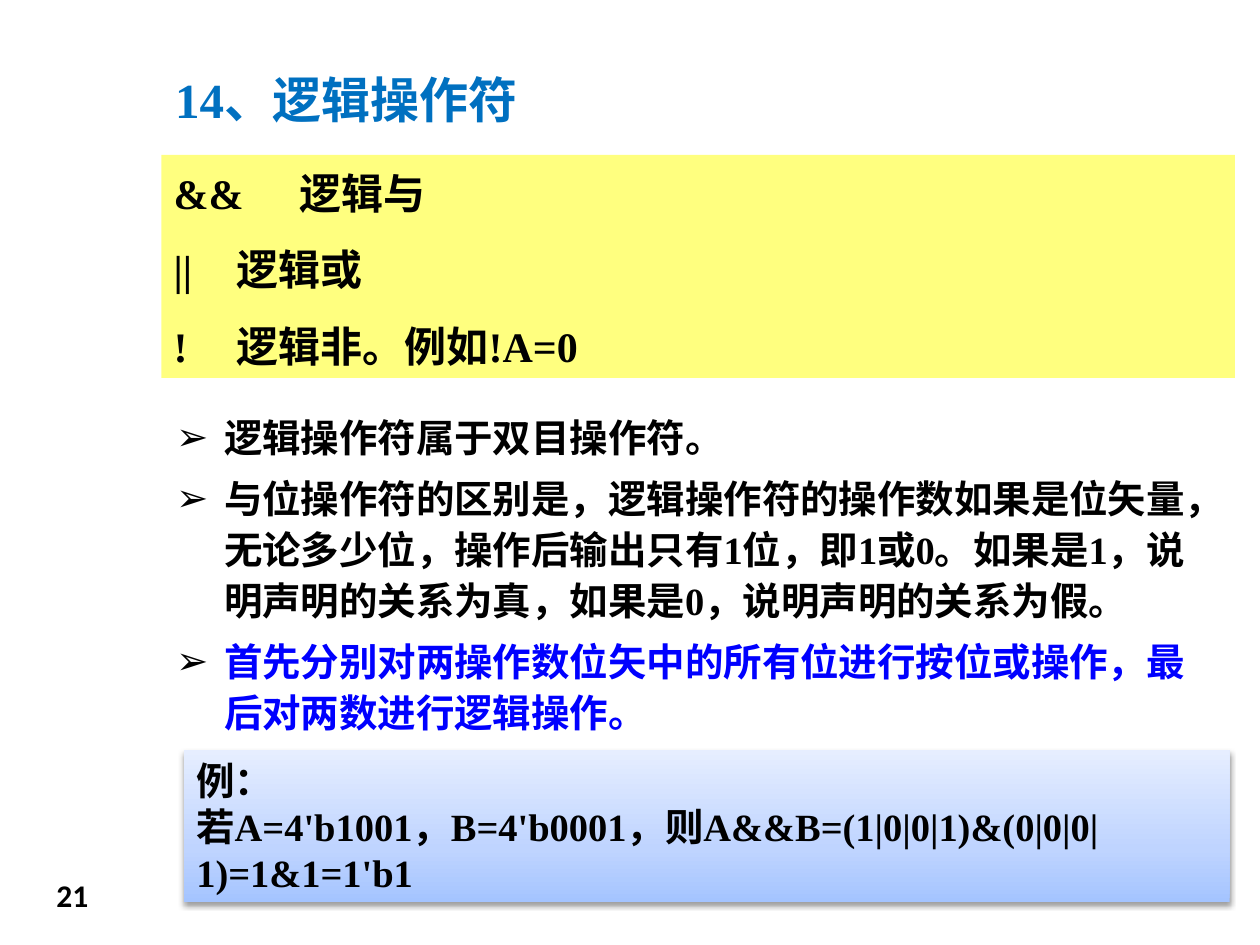
from dataclasses import dataclass

from lxml.etree import SubElement
from pptx import Presentation
from pptx.dml.color import RGBColor
from pptx.enum.shapes import MSO_SHAPE
from pptx.enum.text import MSO_ANCHOR, MSO_AUTO_SIZE, PP_ALIGN
from pptx.oxml import parse_xml
from pptx.oxml.ns import nsdecls, qn
from pptx.util import Inches, Pt


@dataclass(frozen=True)
class Theme:
    serif: str = "Times New Roman"
    sans: str = "Calibri"
    black: str = "000000"
    title_blue: str = "0070C0"
    key_blue: str = "0000FF"
    yellow: str = "FFFF00"
    gradient: tuple = ((0, "A4C4FF"), (35, "BFD4FF"), (100, "E6EEFF"))
    title_size: int = 28
    operator_size: int = 24
    body_size: int = 22
    number_size: int = 18


THEME = Theme()


def place(shape, box):
    for name, length in zip(("left", "top", "width", "height"), box):
        setattr(shape, name, Inches(length))


def add_bullet(para):
    properties = para._p.get_or_add_pPr()
    properties.set("marL", str(Inches(0.38)))
    properties.set("indent", str(-Inches(0.38)))
    colour = SubElement(properties, qn("a:buClr"))
    SubElement(colour, qn("a:srgbClr")).set("val", THEME.black)
    SubElement(properties, qn("a:buFont")).set("typeface", "Arial")
    SubElement(properties, qn("a:buChar")).set("char", "➢")


def write(shape, lines, size, font=THEME.serif, anchor=MSO_ANCHOR.TOP,
          auto_size=MSO_AUTO_SIZE.SHAPE_TO_FIT_TEXT, bullets=False, **spacing):
    """Fill a shape with (text, colour) paragraphs."""
    frame = shape.text_frame
    frame_format = {"word_wrap": True, "auto_size": auto_size, "vertical_anchor": anchor}
    for name, value in frame_format.items():
        setattr(frame, name, value)
    for index, (text, colour) in enumerate(lines):
        para = frame.paragraphs[0] if index == 0 else frame.add_paragraph()
        if bullets:
            add_bullet(para)
        for name, value in {"alignment": PP_ALIGN.LEFT, **spacing}.items():
            setattr(para, name, value)
        span = para.add_run()
        span.text = text
        for name, value in {"size": Pt(size), "name": font, "bold": True}.items():
            setattr(span.font, name, value)
        span.font.color.rgb = RGBColor.from_string(colour)


def add_panel(page, box):
    panel = page.shapes.add_shape(MSO_SHAPE.RECTANGLE, *map(Inches, box))
    panel.shadow.inherit = False
    panel.line.fill.background()
    return panel


def add_title(page, box):
    title = page.shapes.title
    place(title, box)
    write(title, [("14、逻辑操作符", THEME.title_blue)], THEME.title_size,
          anchor=MSO_ANCHOR.MIDDLE)


def add_rules(page, box):
    rules = page.shapes.add_textbox(*map(Inches, box))
    lines = [
        ("逻辑操作符属于双目操作符。", THEME.black),
        ("与位操作符的区别是，逻辑操作符的操作数如果是位矢量，无论多少位，操作后输出只有1位，"
         "即1或0。如果是1，说明声明的关系为真，如果是0，说明声明的关系为假。", THEME.black),
        ("首先分别对两操作数位矢中的所有位进行按位或操作，最后对两数进行逻辑操作。", THEME.key_blue),
    ]
    write(rules, lines, THEME.body_size, bullets=True, line_spacing=1.1, space_after=Pt(6))


def add_operators(page, box):
    panel = add_panel(page, box)
    panel.fill.solid()
    panel.fill.fore_color.rgb = RGBColor.from_string(THEME.yellow)
    colour = panel._element.spPr.find(qn("a:solidFill"))[0]
    SubElement(colour, qn("a:alpha")).set("val", "50000")
    operators = [("&&", "逻辑与"), ("||", "逻辑或"), ("!", "逻辑非。例如!A=0")]
    lines = [(f"{symbol}\t{meaning}", THEME.black) for symbol, meaning in operators]
    write(panel, lines, THEME.operator_size, anchor=MSO_ANCHOR.MIDDLE,
          line_spacing=1.1, space_after=Pt(12))


def add_example(page, box):
    panel = add_panel(page, box)
    properties = panel._element.spPr
    stops = "".join(f'<a:gs pos="{position * 1000}"><a:srgbClr val="{colour}"/></a:gs>'
                    for position, colour in THEME.gradient)
    properties.find(qn("a:prstGeom")).addnext(parse_xml(
        f'<a:gradFill {nsdecls("a")} rotWithShape="1"><a:gsLst>{stops}</a:gsLst>'
        '<a:lin ang="16200000" scaled="1"/></a:gradFill>'))
    shadow = SubElement(properties.find(qn("a:effectLst")), qn("a:outerShdw"),
                        blurRad=str(Pt(3.1)), dist=str(Pt(1.6)), dir="5400000",
                        rotWithShape="0")
    colour = SubElement(shadow, qn("a:srgbClr"), val=THEME.black)
    SubElement(colour, qn("a:alpha"), val="38000")
    lines = [("例：", THEME.black),
             ("若A=4'b1001，B=4'b0001，则A&&B=(1|0|0|1)&(0|0|0|1)=1&1=1'b1", THEME.black)]
    write(panel, lines, THEME.body_size, anchor=MSO_ANCHOR.MIDDLE)


def add_page_number(page, box):
    number = page.shapes.add_textbox(*map(Inches, box))
    write(number, [("21", THEME.black)], THEME.number_size, font=THEME.sans,
          auto_size=MSO_AUTO_SIZE.NONE)


def main():
    deck = Presentation()
    deck.slide_width, deck.slide_height = Inches(10), Inches(7.5)
    page = deck.slides.add_slide(deck.slide_layouts.get_by_name("Title Only"))
    add_title(page, (1.29, 0.5, 8.36, 0.57))
    add_rules(page, (1.3, 3.2, 8.44, 2.71))
    add_operators(page, (1.28, 1.23, 8.52, 1.77))
    add_example(page, (1.46, 5.95, 8.3, 1.21))
    add_page_number(page, (0.35, 6.9, 0.63, 0.45))
    deck.save("out.pptx")


if __name__ == "__main__":
    main()
